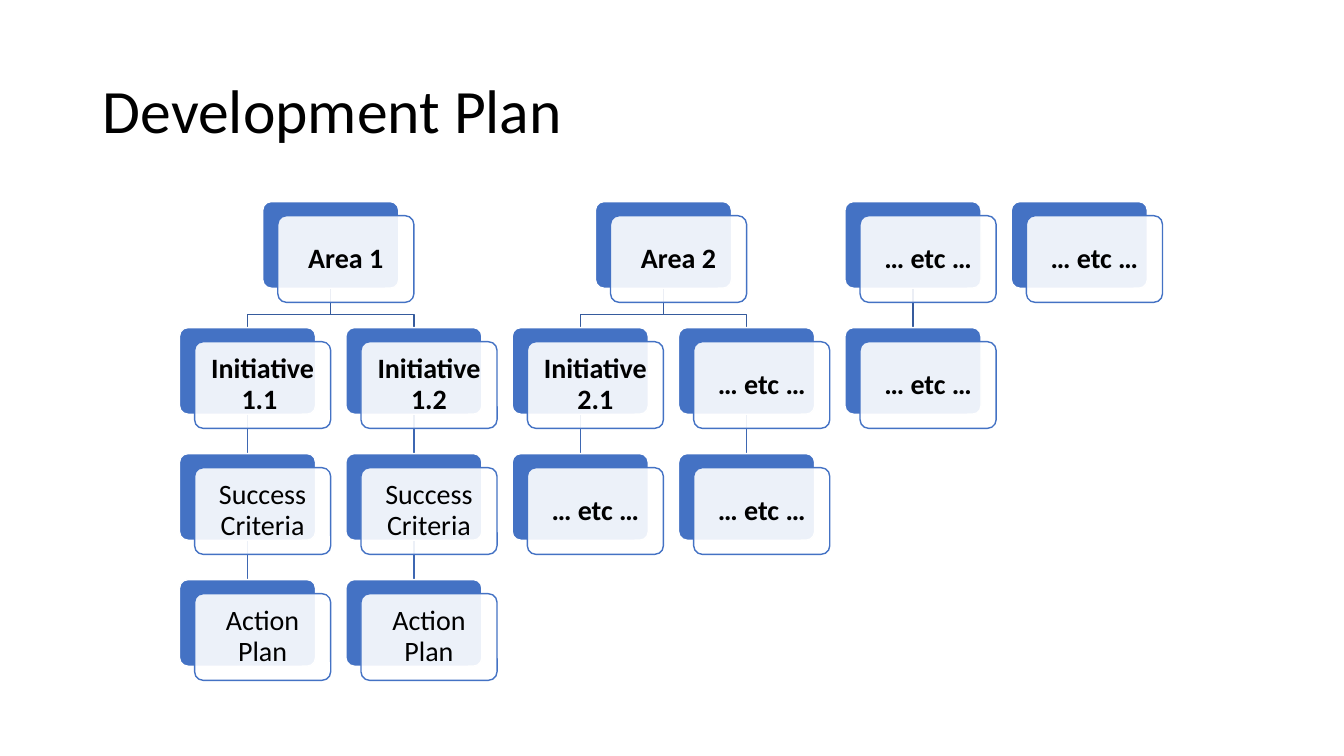
from dataclasses import dataclass, field

from lxml.etree import SubElement
from pptx import Presentation
from pptx.dml.color import RGBColor
from pptx.enum.shapes import MSO_CONNECTOR, MSO_SHAPE
from pptx.enum.text import MSO_ANCHOR, PP_ALIGN
from pptx.oxml.ns import qn
from pptx.util import Inches, Pt

BLACK = RGBColor(0x00, 0x00, 0x00)
WHITE = RGBColor(0xFF, 0xFF, 0xFF)
BLUE = RGBColor(0x44, 0x72, 0xC4)
AREA_LINK = RGBColor(0x36, 0x5B, 0x9D)
LOWER_LINK = RGBColor(0x3E, 0x67, 0xB2)


@dataclass
class Node:
    label: str
    children: list = field(default_factory=list)
    bold: bool = True
    column: float = 0
    row: int = 0


def initiative(label):
    action = Node("Action Plan", bold=False)
    return Node(label, [Node("Success Criteria", [action], bold=False)])


def etc(*children):
    return Node("… etc …", list(children))


def place(node, row, next_column):
    """Give each leaf its own column, centre parents, return the next free column."""
    node.row = row
    if not node.children:
        node.column = next_column
        return next_column + 1
    for child in node.children:
        next_column = place(child, row + 1, next_column)
    node.column = (node.children[0].column + node.children[-1].column) / 2
    return next_column


class PlanSlide:
    FONT = "Calibri"
    LEFT, TOP = Inches(1.78), Inches(2)
    COLUMN, ROW = Inches(1.65), Inches(1.25)
    CARD_WIDTH, CARD_HEIGHT = Inches(1.35), Inches(0.86)
    SHIFT_X, SHIFT_Y = Inches(0.15), Inches(0.14)
    BEND = Inches(0.26)

    def __init__(self, presentation):
        self.slide = presentation.slides.add_slide(presentation.slide_layouts[5])
        self.shapes = self.slide.shapes

    def corner(self, node):
        return (round(self.LEFT + node.column * self.COLUMN),
                self.TOP + node.row * self.ROW)

    def set_text(self, frame, text, size, align, bold=False):
        frame.text = text
        frame.word_wrap = True
        frame.vertical_anchor = MSO_ANCHOR.MIDDLE
        paragraph = frame.paragraphs[0]
        paragraph.alignment = align
        paragraph.line_spacing = 0.9
        font = paragraph.font
        font.name, font.size, font.bold = self.FONT, Pt(size), bold
        font.color.rgb = BLACK

    def title(self, text):
        title = self.shapes.title
        title.left, title.top = Inches(0.92), Inches(0.4)
        title.width, title.height = Inches(11.5), Inches(1.45)
        self.set_text(title.text_frame, text, 44, PP_ALIGN.LEFT)

    def card(self, left, top, fill, outline):
        card = self.shapes.add_shape(MSO_SHAPE.ROUNDED_RECTANGLE, left, top,
                                     self.CARD_WIDTH, self.CARD_HEIGHT)
        card.adjustments[0] = 0.1
        card.shadow.inherit = False
        card.fill.solid()
        card.fill.fore_color.rgb = fill
        card.line.color.rgb = outline
        card.line.width = Pt(1)
        return card

    def node(self, node):
        """Draw a blue card with a translucent label card shifted over it."""
        left, top = self.corner(node)
        self.card(left, top, BLUE, WHITE)
        front = self.card(left + self.SHIFT_X, top + self.SHIFT_Y, WHITE, BLUE)
        color = front._element.spPr.find(qn("a:solidFill"))[0]
        SubElement(color, qn("a:alpha"), val="90000")
        frame = front.text_frame
        frame.margin_left = frame.margin_right = Inches(0.08)
        frame.margin_top = frame.margin_bottom = Inches(0.08)
        self.set_text(frame, node.label, 20, PP_ALIGN.CENTER, node.bold)
        for child in node.children:
            self.node(child)

    def links(self, parent):
        """Draw the lines of a whole subtree, bent where the child is to one side."""
        left, top = self.corner(parent)
        start_x, start_y = left + self.CARD_WIDTH // 2, top + self.CARD_HEIGHT
        for child in parent.children:
            child_left, end_y = self.corner(child)
            end_x = child_left + self.CARD_WIDTH // 2
            if child.column == parent.column:
                link = self.shapes.add_connector(
                    MSO_CONNECTOR.STRAIGHT, start_x, start_y, end_x, end_y)
                SubElement(link._element.spPr, qn("a:effectLst"))
            else:
                bend_y = start_y + self.BEND
                outline = self.shapes.build_freeform(start_x, start_y)
                outline.add_line_segments(
                    [(start_x, bend_y), (end_x, bend_y), (end_x, end_y)], close=False)
                link = outline.convert_to_shape()
                link.fill.background()
                link.shadow.inherit = False
            link.line.color.rgb = LOWER_LINK if parent.row else AREA_LINK
            link.line.width = Pt(1)
            self.links(child)


def main():
    presentation = Presentation()
    presentation.slide_width, presentation.slide_height = Inches(13.33), Inches(7.5)
    areas = [
        Node("Area 1", [initiative("Initiative 1.1 "), initiative("Initiative 1.2")]),
        Node("Area 2", [Node("Initiative 2.1", [etc()]), etc(etc())]),
        etc(etc()),
        etc(),
    ]
    next_column = 0
    for area in areas:
        next_column = place(area, 0, next_column)

    plan = PlanSlide(presentation)
    plan.title("Development Plan")
    for area in areas:
        plan.links(area)
    for area in areas:
        plan.node(area)
    presentation.save("out.pptx")


if __name__ == "__main__":
    main()
